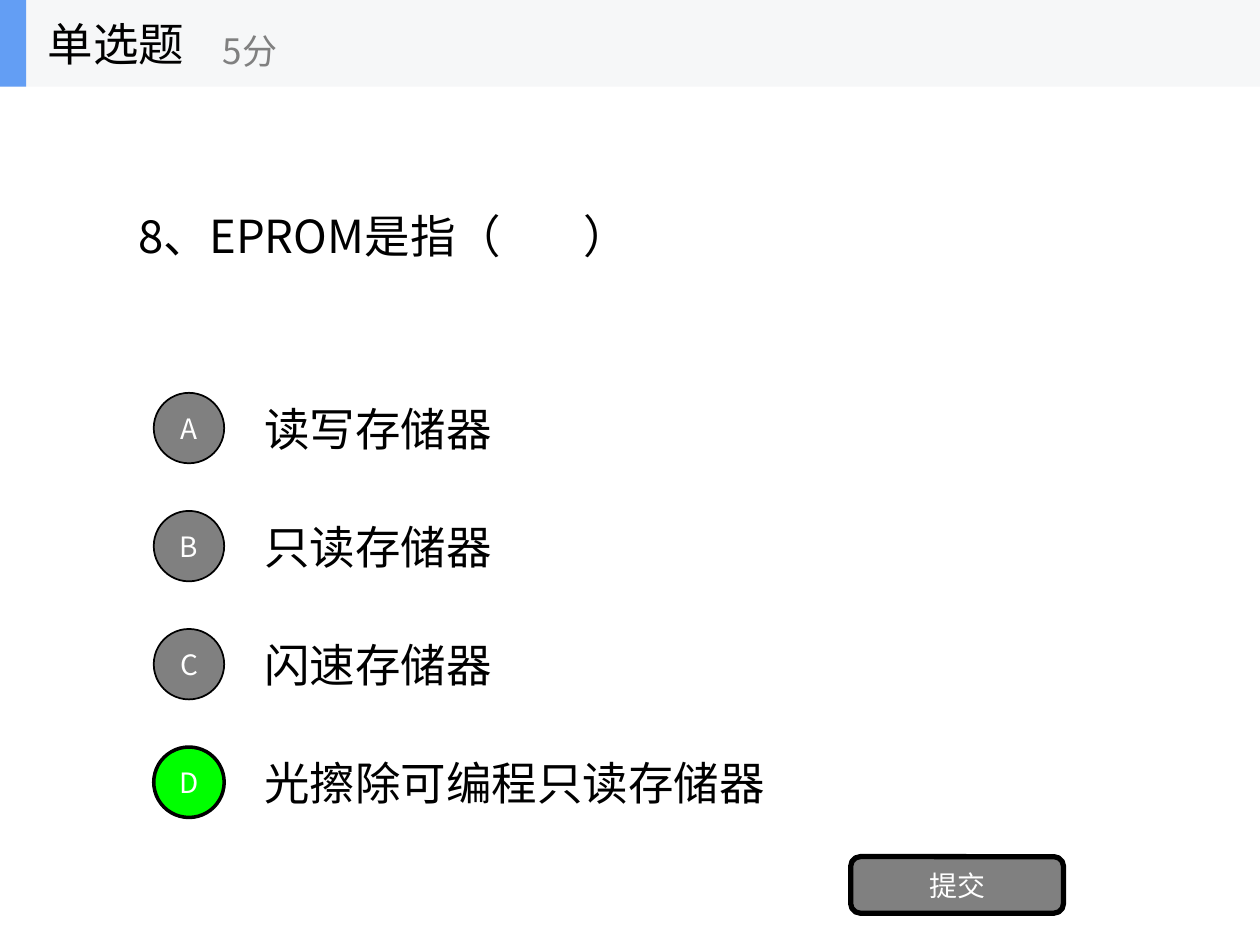
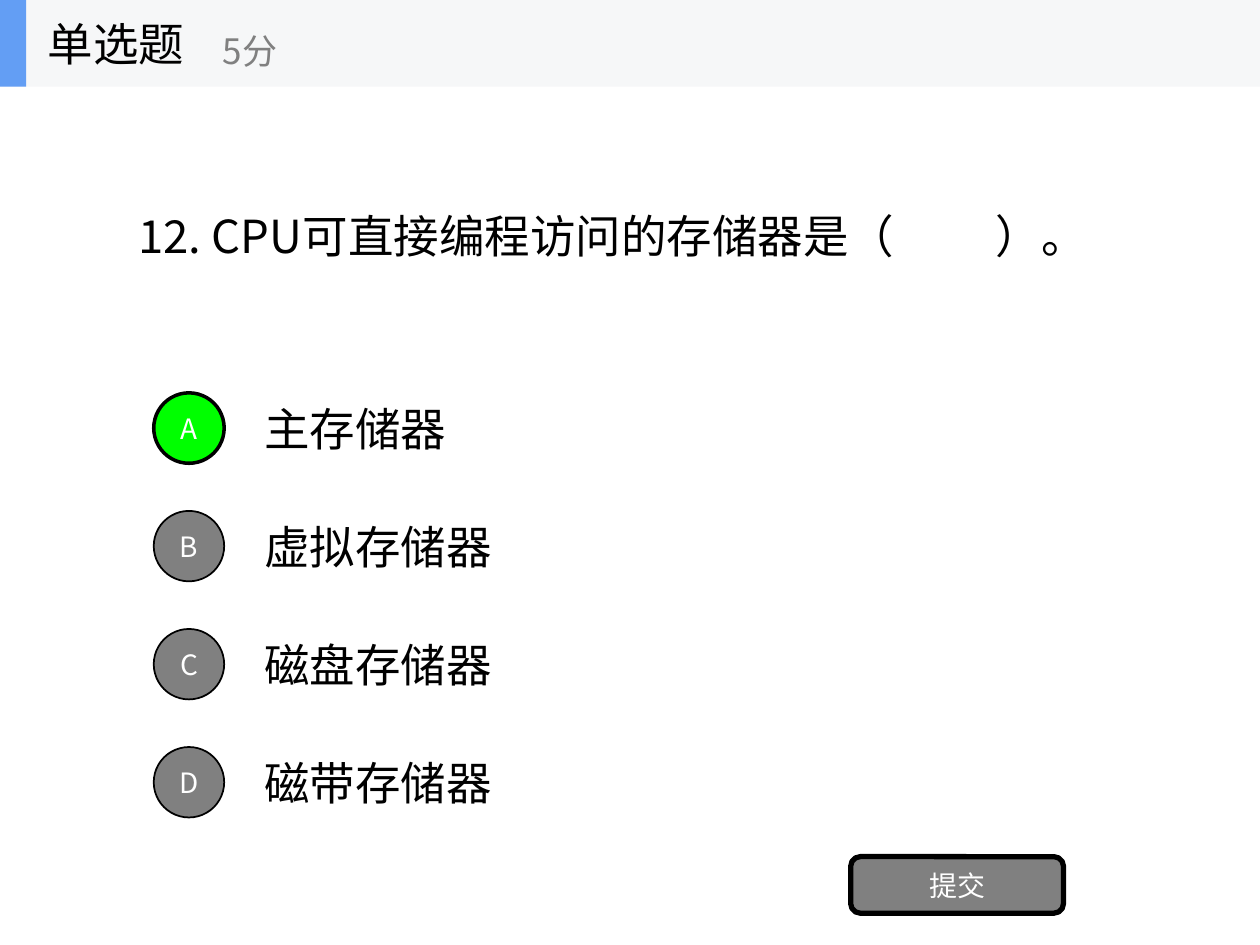
"""Build two single-choice quiz slides about computer memory."""
from dataclasses import dataclass
from typing import Optional

from lxml.etree import SubElement
from pptx import Presentation
from pptx.dml.color import RGBColor
from pptx.enum.shapes import MSO_SHAPE
from pptx.enum.text import MSO_ANCHOR, MSO_AUTO_SIZE, PP_ALIGN
from pptx.oxml.ns import qn
from pptx.util import Cm, Pt

FONT = "Noto Sans CJK SC"
COLOURS = {
    "text": "000000",
    "white": "FFFFFF",
    "grey": "808080",
    "correct": "00FF00",
    "band": "F6F7F8",
    "accent": "639EF4",
}
BODY_SIZE, POINTS_SIZE, BUTTON_SIZE = 26, 20, 16
BAND_HEIGHT = 1.75
FIRST_OPTION_TOP, OPTION_PITCH = 7.92, 2.38
CIRCLE_SIZE, LINE_HEIGHT = 1.42, 1.37


@dataclass(frozen=True)
class Area:
    """A rectangle measured in centimetres."""
    left: float
    top: float
    width: float
    height: float

    def lengths(self) -> tuple:
        return Cm(self.left), Cm(self.top), Cm(self.width), Cm(self.height)


@dataclass(frozen=True)
class Question:
    """A question with a blank that ends at a tab stop, and its options."""
    before_blank: str
    after_blank: str
    blank_end: float
    width: float
    options: tuple[str, ...]
    answer: str


QUESTIONS = (
    Question("8、EPROM是指（", "）", 8.98, 12.37,
             ("读写存储器", "只读存储器", "闪速存储器", "光擦除可编程只读存储器"), "D"),
    Question("12. CPU可直接编程访问的存储器是（", "）。", 17.28, 20.17,
             ("主存储器", "虚拟存储器", "磁盘存储器", "磁带存储器"), "A"),
)


def colour(name: str) -> RGBColor:
    return RGBColor.from_string(COLOURS[name])


def add_span(para, text: str, size: int, ink: str) -> None:
    span = para.add_run()
    span.text = text
    span.font.size = Pt(size)
    span.font.name = FONT
    span.font.color.rgb = colour(ink)
    SubElement(span.font._element, qn("a:ea"), typeface=FONT)


def add_text(shapes, area: Area, texts: tuple[str, ...], size: int = BODY_SIZE,
             ink: str = "text", grow: bool = True,
             tab_stop: Optional[float] = None) -> None:
    frame = shapes.add_textbox(*area.lengths()).text_frame
    frame.word_wrap = True
    frame.vertical_anchor = MSO_ANCHOR.MIDDLE
    frame.auto_size = MSO_AUTO_SIZE.SHAPE_TO_FIT_TEXT if grow else MSO_AUTO_SIZE.NONE
    para = frame.paragraphs[0]
    if tab_stop is not None:
        tabs = SubElement(para._p.get_or_add_pPr(), qn("a:tabLst"))
        SubElement(tabs, qn("a:tab"), pos=str(int(Cm(tab_stop))), algn="l")
    for text in texts:
        add_span(para, text, size, ink)


def add_block(shapes, kind: MSO_SHAPE, area: Area, fill: str, line_width: int = 0):
    block = shapes.add_shape(kind, *area.lengths())
    block.shadow.inherit = False
    block.fill.solid()
    block.fill.fore_color.rgb = colour(fill)
    if line_width:
        block.line.color.rgb = colour("text")
        block.line.width = Pt(line_width)
    else:
        block.line.fill.background()
    return block


def add_button(shapes, kind: MSO_SHAPE, area: Area, label: str,
               fill: str, line_width: int):
    button = add_block(shapes, kind, area, fill, line_width)
    button.text_frame.vertical_anchor = MSO_ANCHOR.MIDDLE
    para = button.text_frame.paragraphs[0]
    para.alignment = PP_ALIGN.CENTER
    add_span(para, label, BUTTON_SIZE, "white")
    return button


def add_header(page, slide_width: float) -> None:
    shapes = page.shapes.add_group_shape().shapes
    add_block(shapes, MSO_SHAPE.RECTANGLE, Area(0, 0, slide_width, BAND_HEIGHT), "band")
    add_block(shapes, MSO_SHAPE.RECTANGLE, Area(0, 0, 0.53, BAND_HEIGHT), "accent")
    add_text(shapes, Area(0.71, 0, 5.28, BAND_HEIGHT), ("单选题",), grow=False)
    add_text(shapes, Area(4.24, 0.3, 6.35, CIRCLE_SIZE), ("5分",),
             POINTS_SIZE, "grey", grow=False)


def add_option(page, index: int, text: str, answer: str) -> None:
    letter = "ABCD"[index]
    top = FIRST_OPTION_TOP + index * OPTION_PITCH
    label_width = 0.92 * len(text) + 0.77
    add_text(page.shapes, Area(5.08, top + 0.03, label_width, LINE_HEIGHT), (text,))
    fill, line_width = ("correct", 2) if letter == answer else ("grey", 1)
    add_button(page.shapes, MSO_SHAPE.OVAL, Area(3.1, top, CIRCLE_SIZE, CIRCLE_SIZE),
               letter, fill, line_width)


def add_question_page(deck, question: Question) -> None:
    page = deck.slides.add_slide(deck.slide_layouts[6])
    add_text(page.shapes, Area(2.54, 4.06, question.width, LINE_HEIGHT),
             (question.before_blank, "\t", question.after_blank),
             tab_stop=question.blank_end)
    for index, text in enumerate(question.options):
        add_option(page, index, text, question.answer)
    submit = add_button(page.shapes, MSO_SHAPE.ROUNDED_RECTANGLE,
                        Area(17.15, 17.27, 4.29, 1.14), "提交", "grey", 3)
    submit.adjustments[0] = 0.17
    add_header(page, deck.slide_width.cm)


def main() -> None:
    deck = Presentation()
    deck.slide_width, deck.slide_height = Cm(25.4), Cm(19.05)
    for question in QUESTIONS:
        add_question_page(deck, question)
    deck.save("out.pptx")


if __name__ == "__main__":
    main()
